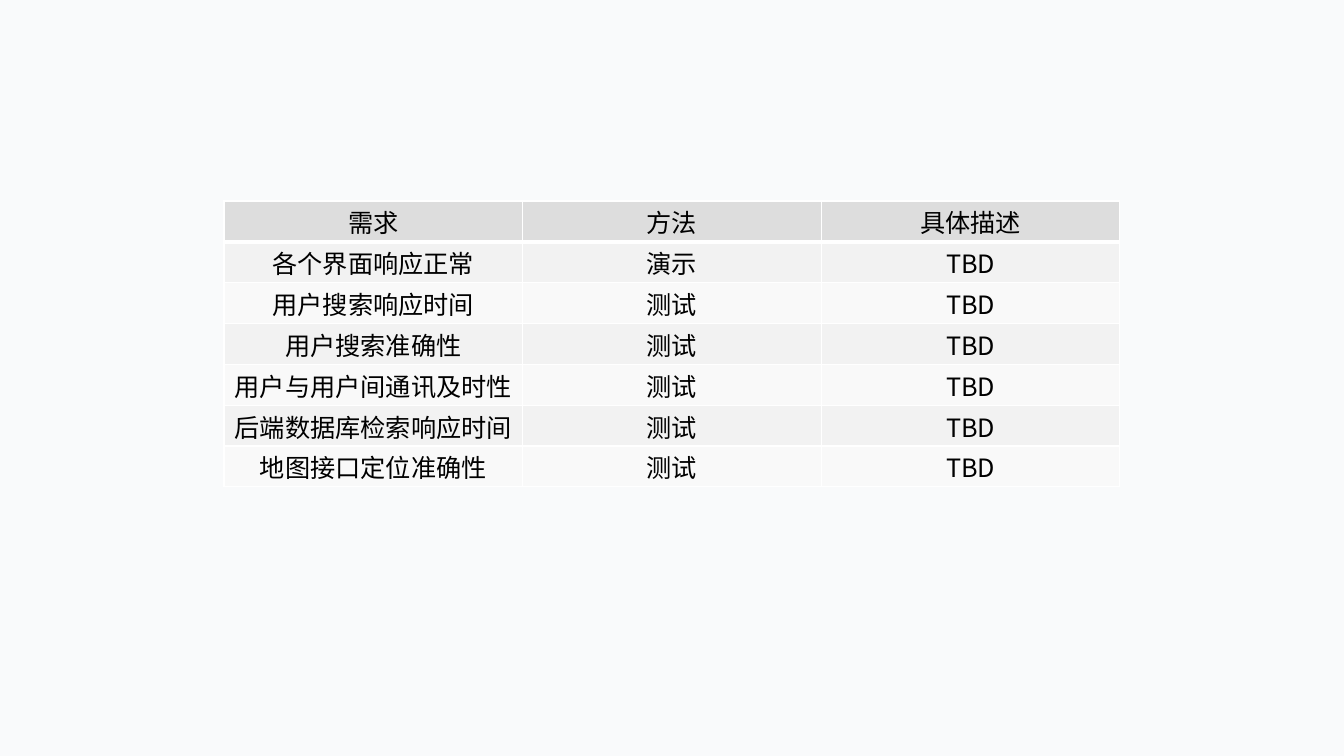
from dataclasses import dataclass

from lxml import etree
from pptx import Presentation
from pptx import util as u
from pptx.dml.color import RGBColor
from pptx.enum import text
from pptx.oxml.ns import qn

PX = 914400 / 100.8  # EMU in one px


@dataclass(frozen=True)
class Theme:
    background: str = "F9FAFB"
    header: str = "DDDDDD"
    bands: tuple = ("F2F2F2", "F9F9F9")
    border: str = "FFFFFF"
    ink: str = "000000"
    font: str = "Noto Sans CJK SC"
    size: int = 18
    thin: int = 1
    thick: int = 3


THEME = Theme()

ROWS = [
    ("需求", "方法", "具体描述"),
    ("各个界面响应正常", "演示", "TBD"),
    ("用户搜索响应时间", "测试", "TBD"),
    ("用户搜索准确性", "测试", "TBD"),
    ("用户与用户间通讯及时性", "测试", "TBD"),
    ("后端数据库检索响应时间", "测试", "TBD"),
    ("地图接口定位准确性", "测试", "TBD"),
]


def px(n):
    return u.Emu(round(n * PX))


def fill_solid(fill, color):
    fill.solid()
    fill.fore_color.rgb = RGBColor.from_string(color)


def set_borders(cell, top, bottom):
    """Draw all four edges; call before filling, as tcPr wants lines first."""
    tc_pr = cell._tc.get_or_add_tcPr()
    widths = {"L": THEME.thin, "R": THEME.thin, "T": top, "B": bottom}
    for side, width in widths.items():
        ln = etree.SubElement(tc_pr, qn(f"a:ln{side}"), w=str(u.Pt(width)))
        solid = etree.SubElement(ln, qn("a:solidFill"))
        etree.SubElement(solid, qn("a:srgbClr"), val=THEME.border)


def write_cell(cell, words):
    cell.vertical_anchor = text.MSO_ANCHOR.MIDDLE
    cell.margin_left = cell.margin_right = cell.margin_top = px(1)
    cell.margin_bottom = 0
    p = cell.text_frame.paragraphs[0]
    p.text = words
    p.alignment = text.PP_ALIGN.CENTER
    r = p.runs[0]
    r.font.size = u.Pt(THEME.size)
    r.font.bold = False
    r.font.color.rgb = RGBColor.from_string(THEME.ink)
    r.font.name = THEME.font
    etree.SubElement(r._r.get_or_add_rPr(), qn("a:ea"), typeface=THEME.font)


def add_grid(s, rows, left, top, width, height):
    frame = s.shapes.add_table(len(rows), len(rows[0]),
                               px(left), px(top), px(width), px(height))
    table = frame.table
    for column in table.columns:
        column.width = px(width / len(rows[0]))
    for i, row in enumerate(rows):
        table.rows[i].height = px(height / len(rows))
        color = THEME.bands[(i - 1) % 2] if i else THEME.header
        for j, words in enumerate(row):
            cell = table.cell(i, j)
            set_borders(cell,
                        top=THEME.thick if i == 1 else THEME.thin,
                        bottom=THEME.thick if i == 0 else THEME.thin)
            fill_solid(cell.fill, color)
            write_cell(cell, words)


def main():
    prs = Presentation()
    prs.slide_width, prs.slide_height = px(1344), px(756)
    s = prs.slides.add_slide(prs.slide_layouts[6])
    fill_solid(s.background.fill, THEME.background)
    add_grid(s, ROWS, left=224, top=201, width=896, height=286)
    prs.save("out.pptx")


if __name__ == "__main__":
    main()
